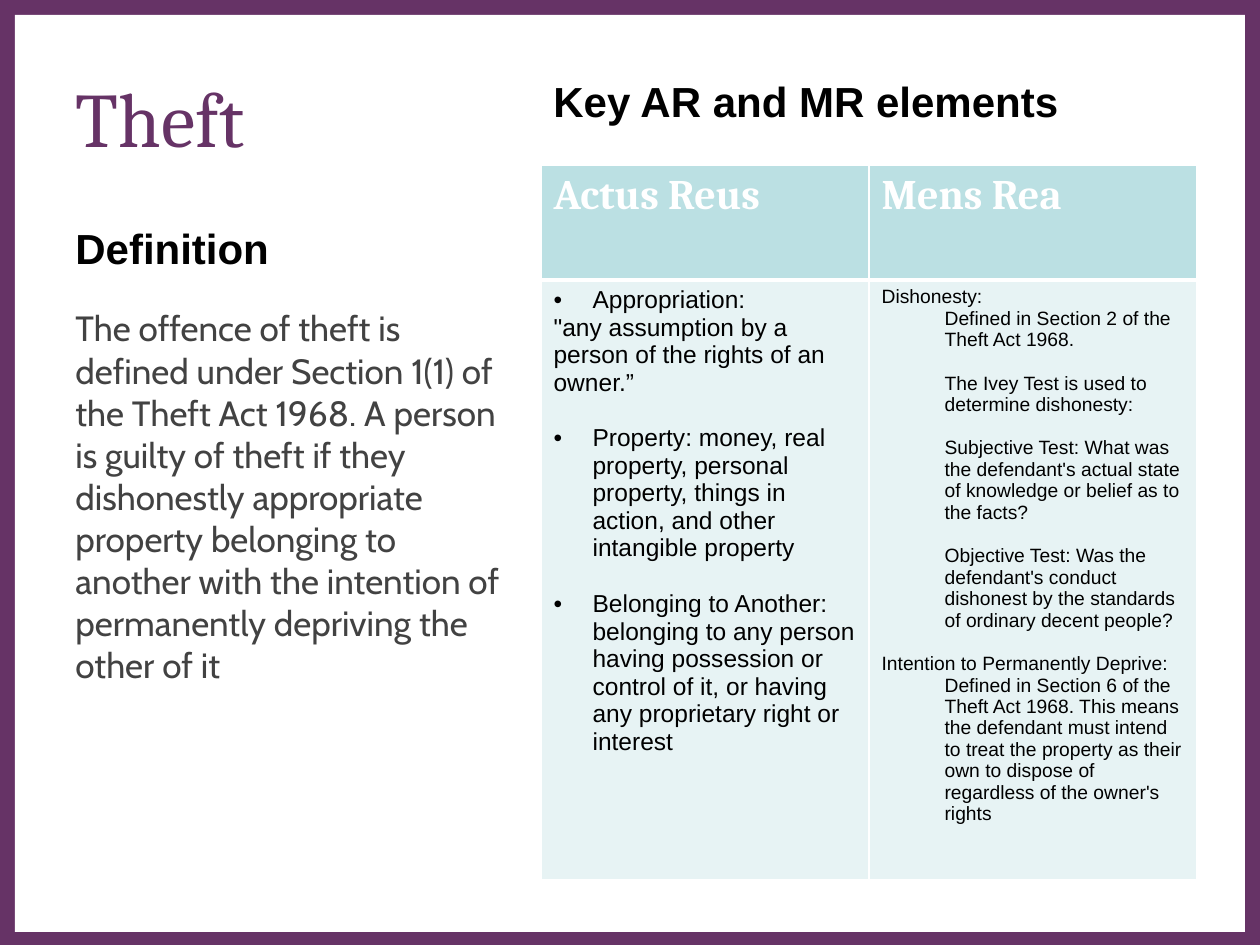
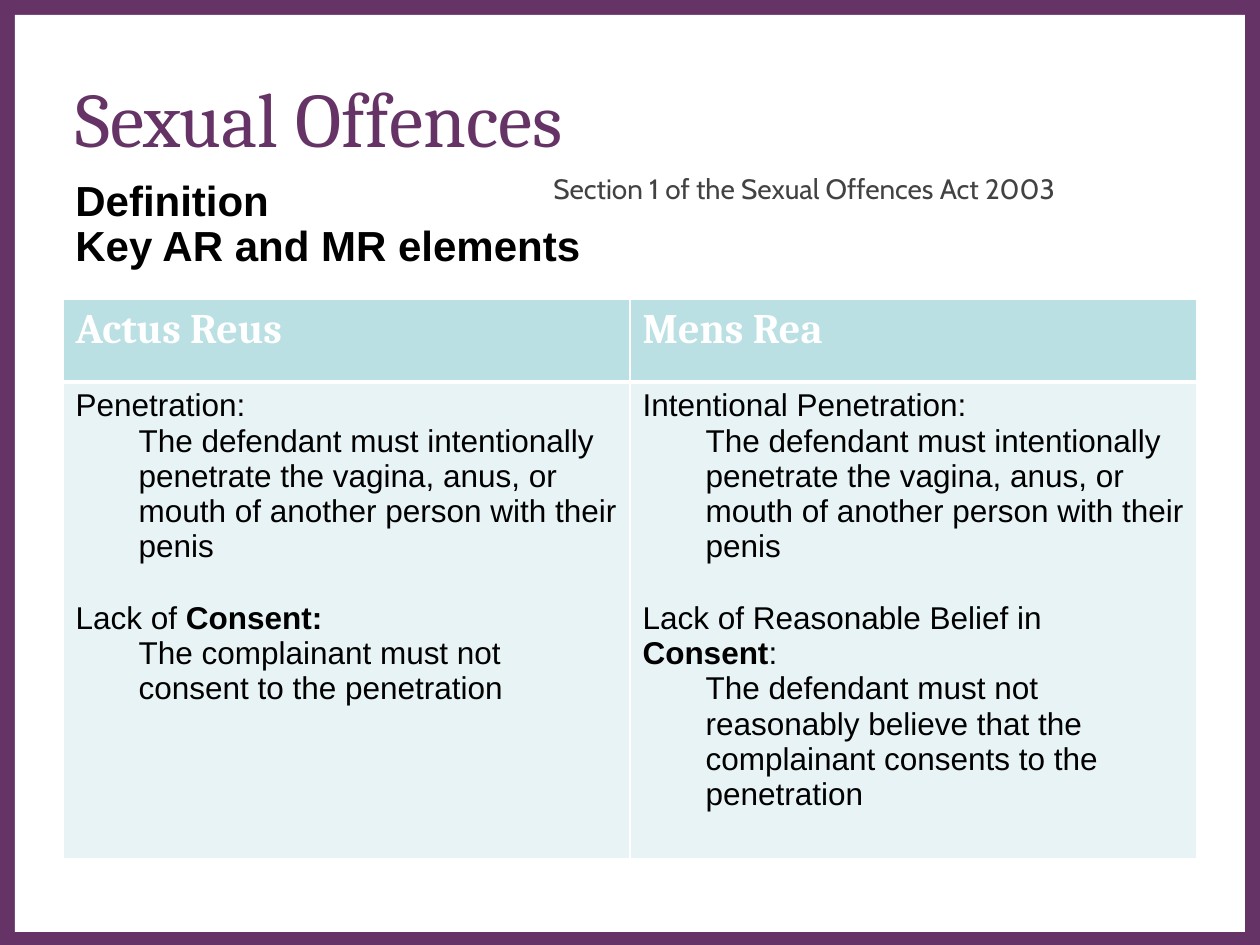
import dataclasses

import lxml.etree
import pptx
import pptx.dml.color
import pptx.enum.shapes
import pptx.enum.text
import pptx.oxml.ns
import pptx.util

PX_PER_INCH = 126
PAGE_WIDTH, PAGE_HEIGHT = 1260, 945
TITLE_BOX = (63, 38, 1134, 158)
FRAME_EDGE = (15, 15, 1230, 917)
HEADERS = ("Actus Reus", "Mens Rea")
LINE_HEIGHT = 1.15  # Arial line pitch as a share of the type size


@dataclasses.dataclass(frozen=True)
class TextStyle:
    font: str
    size: int
    color: str
    bold: bool = False
    top_inset: int = 6


@dataclasses.dataclass(frozen=True)
class Theme:
    purple: str = "663366"
    white: str = "FFFFFF"
    header_fill: str = "BBE0E3"
    body_fill: str = "E7F3F4"
    title: TextStyle = TextStyle("Cambria", 44, "663366")
    heading: TextStyle = TextStyle("Arial", 24, "000000", True, 10)
    prose: TextStyle = TextStyle("Cabin", 20, "424242", False, 7)
    citation: TextStyle = TextStyle("Cabin", 16, "424242", False, 7)
    column_head: TextStyle = TextStyle("Cambria", 24, "FFFFFF", True)
    cell: TextStyle = TextStyle("Arial", 14, "000000")


THEME = Theme()

# Cell paragraphs are (kind, text); "*" marks the start and end of bold words.
# A kind ending in "+" stands one blank line below the paragraph before it.
SLIDES = [
    {
        "title": "Theft",
        "texts": [
            ("heading", (63, 212, 557, 88), "Definition"),
            ("prose", (63, 300, 457, 544),
             "The offence of theft is defined under Section 1(1) of the Theft Act 1968. "
             "A person is guilty of theft if they dishonestly appropriate property "
             "belonging to another with the intention of permanently depriving the "
             "other of it"),
            ("heading", (541, 66, 656, 99), "Key AR and MR elements"),
        ],
        "table": (541, 165, 656),
        "rows": (115, 600),
        "cells": [
            (14, [
                ("bullet", "Appropriation:"),
                ("term", "\"any assumption by a person of the rights of an owner.”"),
                ("bullet+", "Property: money, real property, personal property, things "
                            "in action, and other intangible property"),
                ("bullet+", "Belonging to Another: belonging to any person having "
                            "possession or control of it, or having any proprietary "
                            "right or interest"),
            ]),
            (11, [
                ("term", "Dishonesty:"),
                ("detail", "Defined in Section 2 of the Theft Act 1968."),
                ("detail+", "The Ivey Test is used to determine dishonesty:"),
                ("detail+", "Subjective Test: What was the defendant's actual state of "
                            "knowledge or belief as to the facts?"),
                ("detail+", "Objective Test: Was the defendant's conduct dishonest by "
                            "the standards of ordinary decent people?"),
                ("term+", "Intention to Permanently Deprive:"),
                ("detail", "Defined in Section 6 of the Theft Act 1968. This means the "
                           "defendant must intend to treat the property as their own to "
                           "dispose of regardless of the owner's rights"),
            ]),
        ],
    },
    {
        "title": "Sexual Offences",
        "texts": [
            ("heading", (63, 165, 557, 88), "Definition"),
            ("citation", (541, 165, 566, 45), "Section 1 of the Sexual Offences Act 2003"),
            ("heading", (63, 210, 1134, 88), "Key AR and MR elements"),
        ],
        "table": (63, 299, 1134),
        "rows": (83, 477),
        "cells": [
            (18, [
                ("term", "Penetration:"),
                ("detail", "The defendant must intentionally penetrate the vagina, anus, "
                           "or mouth of another person with their penis"),
                ("term+", "Lack of *Consent:*"),
                ("detail", "The complainant must not consent to the penetration"),
            ]),
            (18, [
                ("term", "Intentional Penetration:"),
                ("detail", "The defendant must intentionally penetrate the vagina, anus, "
                           "or mouth of another person with their penis"),
                ("term+", "Lack of Reasonable Belief in *Consent*:"),
                ("detail", "The defendant must not reasonably believe that the "
                           "complainant consents to the penetration"),
            ]),
        ],
    },
]

INDENTS = {"term": (0, 0), "detail": (63, 0), "bullet": (39, -39)}


def px(length):
    return pptx.util.Emu(round(length * 914400 / PX_PER_INCH))


def rgb(code):
    return pptx.dml.color.RGBColor.from_string(code)


def add_xml(parent, tag, **attributes):
    return lxml.etree.SubElement(parent, pptx.oxml.ns.qn(tag), attributes)


def write(para, text, style):
    """Add text as styled runs, with the parts between asterisks in bold."""
    for index, part in enumerate(text.split("*")):
        if part:
            span = para.add_run()
            span.text = part
            span.font.name = style.font
            span.font.size = pptx.util.Pt(style.size)
            span.font.color.rgb = rgb(style.color)
            span.font.bold = style.bold or index % 2 == 1


def add_frame(page, layout):
    """Draw the purple border once and place it behind everything in the layout."""
    panels = (((0, 0, PAGE_WIDTH, PAGE_HEIGHT), THEME.purple), (FRAME_EDGE, THEME.white))
    for position, (place, color) in enumerate(panels, start=2):
        panel = page.shapes.add_shape(
            pptx.enum.shapes.MSO_SHAPE.RECTANGLE, *map(px, place))
        panel.shadow.inherit = False
        panel.fill.solid()
        panel.fill.fore_color.rgb = rgb(color)
        panel.line.fill.background()
        layout.shapes.element.insert(position, panel.element)


def set_title(page, text):
    title = page.shapes.title
    title.left, title.top, title.width, title.height = map(px, TITLE_BOX)
    frame = title.text_frame
    frame.auto_size = pptx.enum.text.MSO_AUTO_SIZE.NONE
    frame.vertical_anchor = pptx.enum.text.MSO_ANCHOR.MIDDLE
    para = frame.paragraphs[0]
    para.alignment = pptx.enum.text.PP_ALIGN.LEFT
    write(para, text, THEME.title)


def add_text(page, place, text, style):
    frame = page.shapes.add_textbox(*map(px, place)).text_frame
    frame.word_wrap = True
    frame.margin_top = px(style.top_inset)
    write(frame.paragraphs[0], text, style)


def paint_cell(cell, fill, bottom_width):
    properties = cell._tc.get_or_add_tcPr()
    for side, width in (("L", 1), ("R", 1), ("T", 1), ("B", bottom_width)):
        border = add_xml(properties, f"a:ln{side}", w=str(pptx.util.Pt(width)))
        add_xml(add_xml(border, "a:solidFill"), "a:srgbClr", val=THEME.white)
    cell.fill.solid()
    cell.fill.fore_color.rgb = rgb(fill)


def fill_body_cell(cell, size, entries):
    style = dataclasses.replace(THEME.cell, size=size)
    for index, (kind, text) in enumerate(entries):
        frame = cell.text_frame
        para = frame.add_paragraph() if index else frame.paragraphs[0]
        if kind.endswith("+"):
            para.space_before = pptx.util.Pt(round(size * LINE_HEIGHT, 1))
        name = kind.rstrip("+")
        margin, indent = INDENTS[name]
        properties = para._p.get_or_add_pPr()
        properties.set("marL", str(px(margin)))
        properties.set("indent", str(px(indent)))
        if name == "bullet":
            add_xml(properties, "a:buFont", typeface="Arial")
            add_xml(properties, "a:buChar", char="•")
        write(para, text, style)


def add_elements_table(page, content):
    left, top, width = content["table"]
    heights = content["rows"]
    table = page.shapes.add_table(
        2, len(HEADERS), px(left), px(top), px(width), px(sum(heights))).table
    table.horz_banding = False
    for row, height in zip(table.rows, heights):
        row.height = px(height)
    for column, (header, (size, entries)) in enumerate(zip(HEADERS, content["cells"])):
        table.columns[column].width = px(width / len(HEADERS))
        head, body = table.cell(0, column), table.cell(1, column)
        paint_cell(head, THEME.header_fill, 3)
        write(head.text_frame.paragraphs[0], header, THEME.column_head)
        paint_cell(body, THEME.body_fill, 1)
        fill_body_cell(body, size, entries)


def main():
    deck = pptx.Presentation()
    deck.slide_width, deck.slide_height = px(PAGE_WIDTH), px(PAGE_HEIGHT)
    layout = deck.slide_layouts.get_by_name("Title Only")
    for index, content in enumerate(SLIDES):
        page = deck.slides.add_slide(layout)
        if index == 0:
            add_frame(page, layout)
        set_title(page, content["title"])
        for style_name, place, text in content["texts"]:
            add_text(page, place, text, getattr(THEME, style_name))
        add_elements_table(page, content)
    deck.save("out.pptx")


if __name__ == "__main__":
    main()
